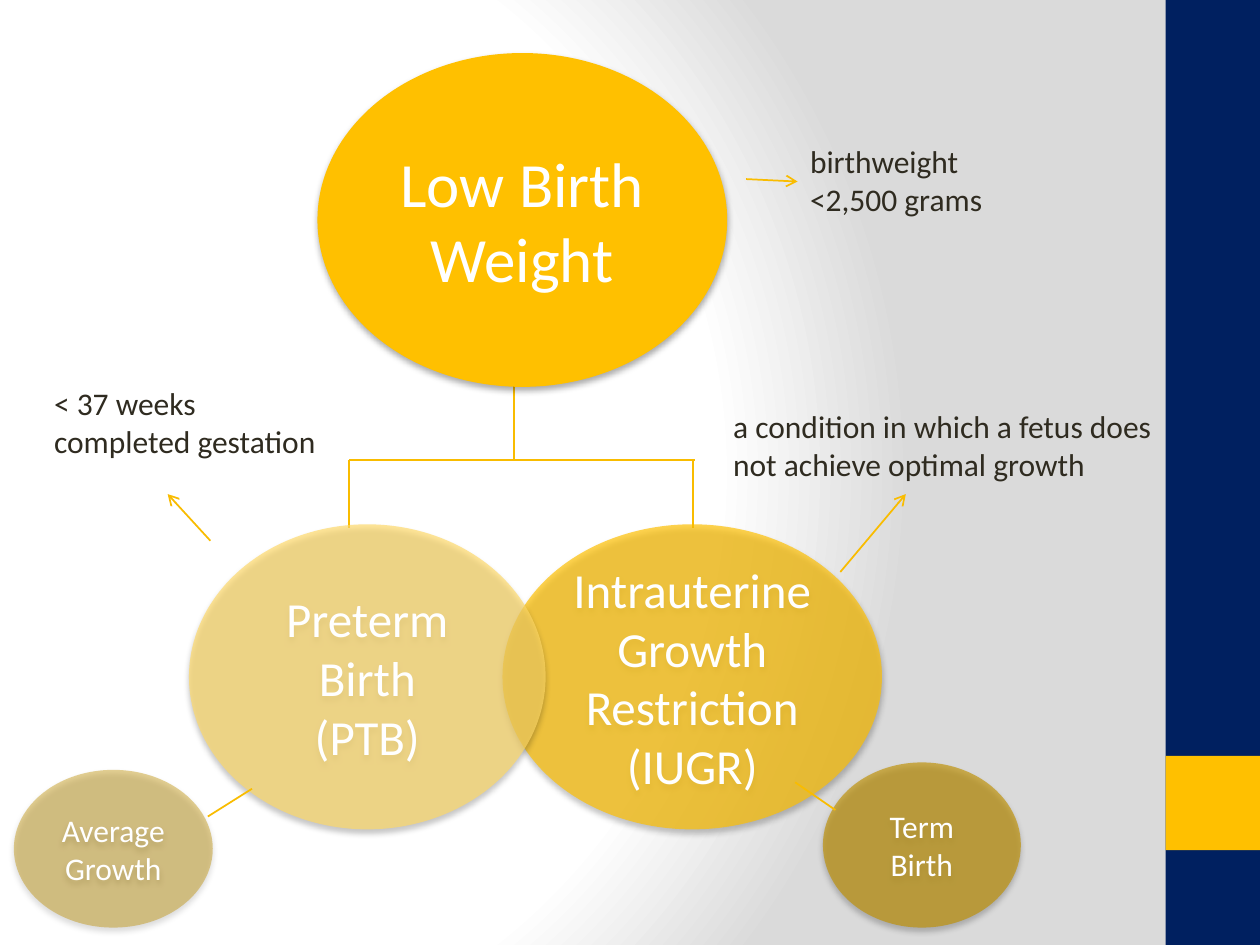
"""Build a slide that divides low birth weight into preterm birth and growth restriction."""
from pptx import Presentation
from pptx.dml.color import RGBColor
from pptx.enum.shapes import MSO_CONNECTOR, MSO_SHAPE
from pptx.enum.text import MSO_ANCHOR, PP_ALIGN
from pptx.oxml import parse_xml
from pptx.oxml.ns import nsdecls
from pptx.util import Cm, Pt

OVAL, RECTANGLE = MSO_SHAPE.OVAL, MSO_SHAPE.RECTANGLE
STRAIGHT = MSO_CONNECTOR.STRAIGHT
MIDDLE, CENTER, LEFT = MSO_ANCHOR.MIDDLE, PP_ALIGN.CENTER, PP_ALIGN.LEFT

THEME = {
    "font": "Calibri",
    "navy": "002060",
    "gold": "FFC000",
    "pale": "FFD966",
    "bronze": "BF9000",
    "line": "F9BC00",
    "light": "FFFFFF",
    "dark": "2F2B20",
    "shade": "DADADA",
    "large": 36,
    "medium": 28,
    "small": 18,
}
SHADOW = (
    f'<a:effectLst {nsdecls("a")}><a:outerShdw blurRad="44450" dist="27940" dir="5400000" '
    'algn="ctr" rotWithShape="0"><a:srgbClr val="000000"><a:alpha val="32000"/></a:srgbClr>'
    '</a:outerShdw></a:effectLst>'
)
BACKGROUND = (
    f'<p:bg {nsdecls("p", "a")}><p:bgPr><a:gradFill rotWithShape="1"><a:gsLst>'
    f'<a:gs pos="0"><a:srgbClr val="{THEME["light"]}"/></a:gs>'
    f'<a:gs pos="75000"><a:srgbClr val="{THEME["light"]}"/></a:gs>'
    f'<a:gs pos="100000"><a:srgbClr val="{THEME["shade"]}"/></a:gs></a:gsLst>'
    '<a:path path="circle"><a:fillToRect l="20000" t="50000" r="100000" b="50000"/></a:path>'
    '</a:gradFill><a:effectLst/></p:bgPr></p:bg>'
)


def write_text(shape, lines, size, color, alignment):
    shape.text_frame.word_wrap = True
    shape.text_frame.text = "\n".join(lines)
    font_format = {"name": THEME["font"], "size": Pt(THEME[size])}
    for paragraph in shape.text_frame.paragraphs:
        paragraph.alignment = alignment
        for run in paragraph.runs:
            for attribute, value in font_format.items():
                setattr(run.font, attribute, value)
            run.font.color.rgb = RGBColor.from_string(THEME[color])


def draw_line(slide, points, has_arrow):
    connector = slide.shapes.add_connector(STRAIGHT, *map(Cm, points))
    connector.line.width = Pt(1)
    connector.line.color.rgb = RGBColor.from_string(THEME["line"])
    if has_arrow:
        connector.line._get_or_add_ln().append(
            parse_xml(f'<a:tailEnd {nsdecls("a")} type="arrow"/>')
        )
    connector.element.spPr.append(parse_xml(f'<a:effectLst {nsdecls("a")}/>'))


presentation = Presentation()
presentation.slide_width, presentation.slide_height = Cm(25.4), Cm(19.05)
slide = presentation.slides.add_slide(presentation.slide_layouts[6])
slide.element.cSld.insert(0, parse_xml(BACKGROUND))

for top, height, color in [(0, 19.05, "navy"), (15.24, 1.9, "gold")]:
    stripe = slide.shapes.add_shape(RECTANGLE, Cm(23.5), Cm(top), Cm(1.9), Cm(height))
    stripe.shadow.inherit = False
    stripe.fill.solid()
    stripe.fill.fore_color.rgb = RGBColor.from_string(THEME[color])
    stripe.line.fill.background()

tree_lines = [
    (13.97, 9.27, 13.97, 10.64),
    (7.04, 9.27, 7.04, 10.64),
    (10.36, 7.77, 10.36, 9.27),
    (7.04, 9.27, 14.02, 9.27),
]
for points in tree_lines:
    draw_line(slide, points, False)

ovals = [
    ((10.13, 10.57, 7.65, 6.15), "gold", 69, "medium",
     ["Intrauterine Growth Restriction", "(IUGR)"]),
    ((3.81, 10.57, 7.19, 6.15), "pale", 67, "medium", ["Preterm Birth", "(PTB)"]),
    ((6.4, 1.07, 8.26, 6.73), "gold", 100, "large", ["Low Birth Weight"]),
    ((16.59, 15.37, 3.99, 3.33), "bronze", 65, "small", ["Term Birth"]),
    ((0.28, 15.52, 4.01, 3.18), "bronze", 42, "small", ["Average\vGrowth"]),
]
for box, color, opacity, size, lines in ovals:
    oval = slide.shapes.add_shape(OVAL, *map(Cm, box))
    oval.fill.solid()
    oval.fill.fore_color.rgb = RGBColor.from_string(THEME[color])
    if opacity < 100:
        alpha = parse_xml(f'<a:alpha {nsdecls("a")} val="{opacity * 1000}"/>')
        oval.element.spPr.xpath("a:solidFill/a:srgbClr")[0].append(alpha)
    oval.line.fill.background()
    oval.element.spPr.append(parse_xml(SHADOW))
    oval.text_frame.vertical_anchor = MIDDLE
    write_text(oval, lines, size, "light", CENTER)

links = [
    ((16.03, 15.77, 16.84, 16.33), False),
    ((5.08, 15.9, 4.19, 16.46), False),
    ((16.94, 11.53, 18.26, 9.96), True),
    ((15.04, 3.61, 16.08, 3.66), True),
    ((4.24, 10.9, 3.38, 9.96), True),
]
for points, has_arrow in links:
    draw_line(slide, points, has_arrow)

definitions = [
    ((14.53, 8.08, 9.2, 1.8), "a condition in which a fetus does not achieve optimal growth"),
    ((16.08, 2.74, 5.28, 1.8), "birthweight <2,500 grams"),
    ((0.84, 7.62, 5.92, 1.8), "< 37 weeks completed gestation"),
]
for box, definition in definitions:
    text_box = slide.shapes.add_textbox(*map(Cm, box))
    write_text(text_box, [definition], "small", "dark", LEFT)

presentation.save("out.pptx")
